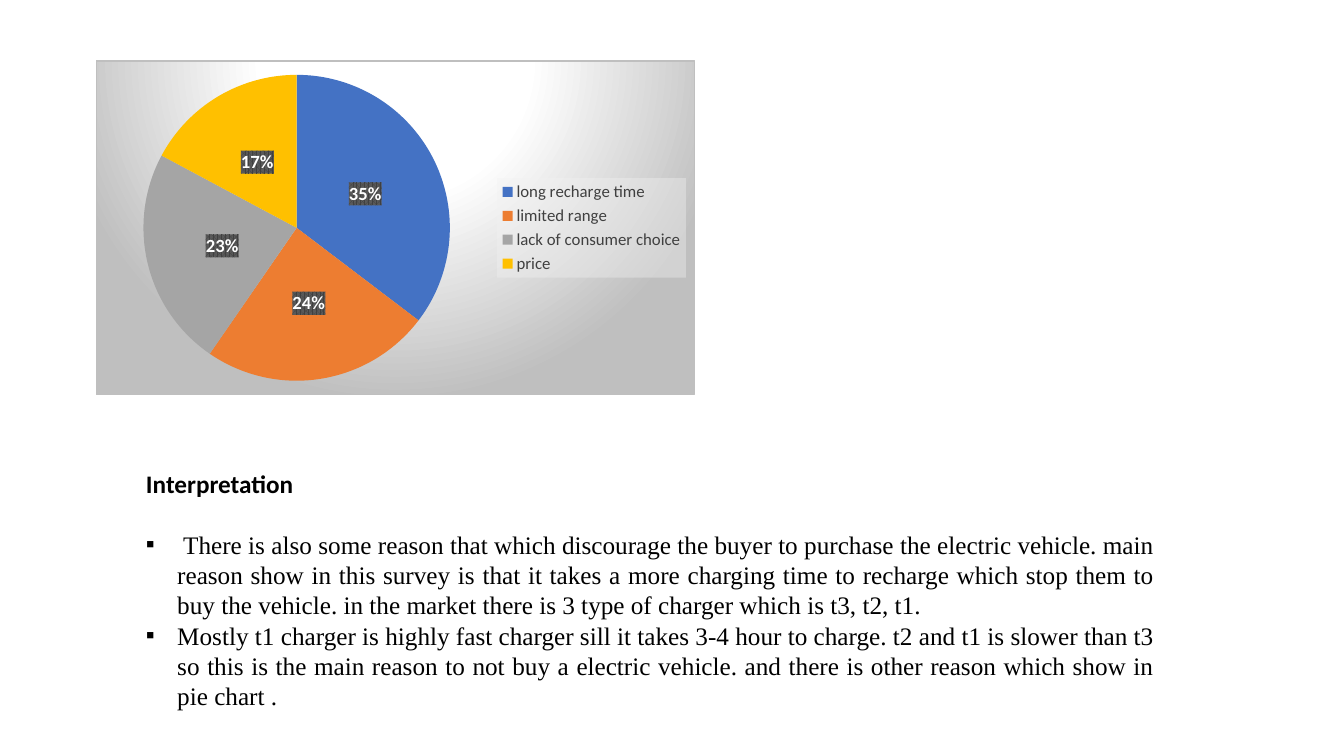
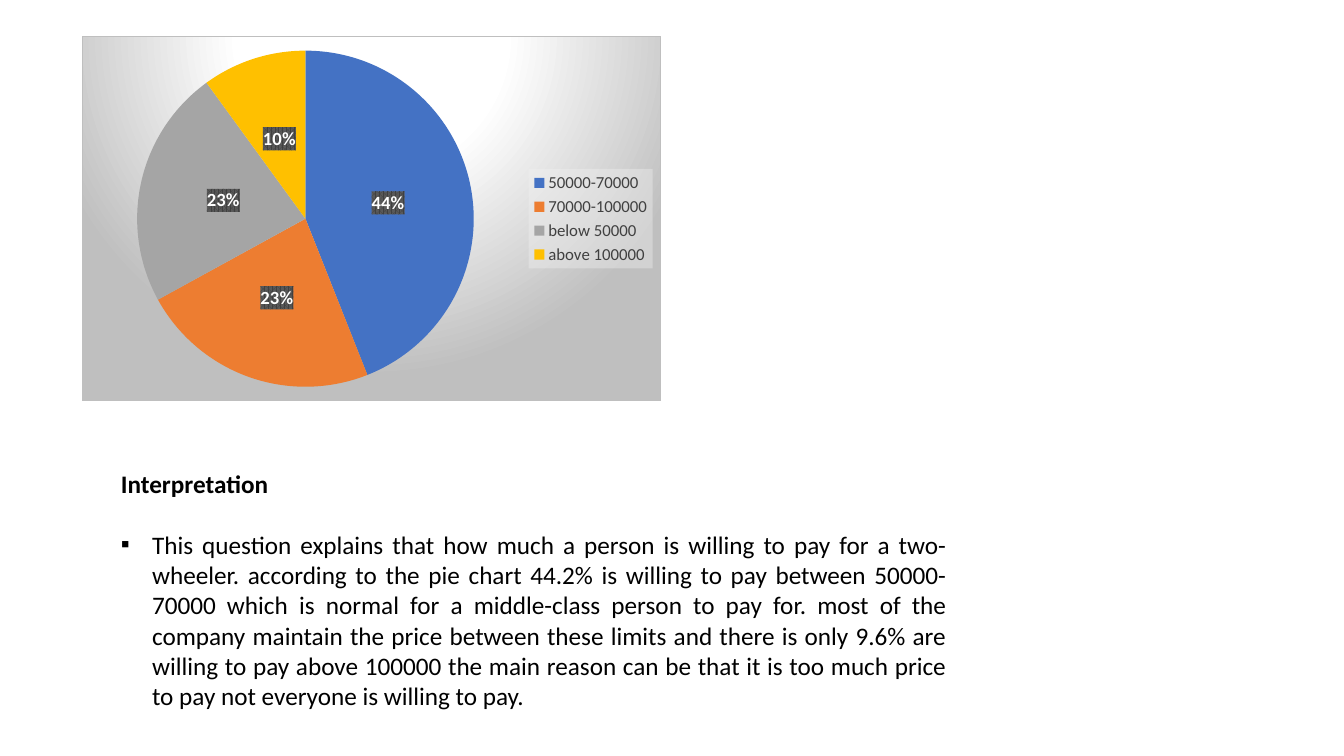
from lxml import etree
from pptx import Presentation
from pptx.chart.data import CategoryChartData
from pptx.dml.color import RGBColor
from pptx.enum.chart import XL_CHART_TYPE, XL_LABEL_POSITION, XL_LEGEND_POSITION
from pptx.enum.text import PP_ALIGN
from pptx.oxml import parse_xml
from pptx.oxml.ns import nsdecls, qn
from pptx.util import Inches, Pt

PIE = XL_CHART_TYPE.PIE
CENTER = XL_LABEL_POSITION.CENTER
RIGHT = XL_LEGEND_POSITION.RIGHT
JUSTIFY = PP_ALIGN.JUSTIFY

COLORS = {
    "text": "000000",
    "legend": "404040",
    "legend_fill": "F2F2F2",
    "white": "FFFFFF",
    "gray": "BFBFBF",
    "label_dark": "404040",
    "label_light": "595959",
}
SLICES = ["4472C4", "ED7D31", "A5A5A5", "FFC000"]
SANS = "Calibri"
SERIF = "Times New Roman"
LINE_HEIGHT = Pt(21.6)
HANGING = Inches(0.31)
TEXT_TOP, TEXT_HEIGHT = 4.6, 2.83

CHART_STYLE = f"""
<a:gradFill>
  <a:gsLst>
    <a:gs pos="0"><a:srgbClr val="{COLORS['white']}"/></a:gs>
    <a:gs pos="39000"><a:srgbClr val="{COLORS['white']}"/></a:gs>
    <a:gs pos="100000"><a:srgbClr val="{COLORS['gray']}"/></a:gs>
  </a:gsLst>
  <a:path path="circle">
    <a:fillToRect l="50000" t="-80000" r="50000" b="180000"/>
  </a:path>
</a:gradFill>
<a:ln w="9525"><a:solidFill><a:srgbClr val="{COLORS['gray']}"/></a:solidFill></a:ln>"""
LEGEND_STYLE = f"""
<a:solidFill>
  <a:srgbClr val="{COLORS['legend_fill']}"><a:alpha val="39000"/></a:srgbClr>
</a:solidFill>"""
LABEL_STYLE = f"""
<a:pattFill prst="pct75">
  <a:fgClr><a:srgbClr val="{COLORS['label_dark']}"/></a:fgClr>
  <a:bgClr><a:srgbClr val="{COLORS['label_light']}"/></a:bgClr>
</a:pattFill>"""


def set_font(font, size, color="text", name=SANS, bold=False):
    font.name = name
    font.size = Pt(size)
    font.bold = bold
    font.color.rgb = RGBColor.from_string(COLORS[color])


def style_part(part, style):
    """Give a chart part a fill; its text properties must already be set."""
    properties = parse_xml(f"<c:spPr {nsdecls('c', 'a')}>{style}</c:spPr>")
    part.xpath("./c:txPr")[0].addprevious(properties)


def add_pie(page, left, top, width, height, shares):
    data = CategoryChartData()
    data.categories = list(shares)
    data.add_series("Series 1", list(shares.values()))
    chart = page.shapes.add_chart(
        PIE, Inches(left), Inches(top), Inches(width), Inches(height), data
    ).chart
    chart.has_title = False
    set_font(chart.font, 10)
    style_part(chart.element, CHART_STYLE)

    # Legend
    chart.has_legend = True
    chart.legend.position = RIGHT
    chart.legend.include_in_layout = False
    set_font(chart.legend.font, 12, "legend")
    style_part(chart.element.xpath(".//c:legend")[0], LEGEND_STYLE)

    # Slices
    plot = chart.plots[0]
    plot.vary_by_categories = True
    for index, color in enumerate(SLICES):
        slice_format = plot.series[0].points[index].format
        slice_format.fill.solid()
        slice_format.fill.fore_color.rgb = RGBColor.from_string(color)
        slice_format.line.fill.background()

    # Percentage labels
    plot.has_data_labels = True
    labels = plot.data_labels
    labels.show_value = False
    labels.show_percentage = True
    labels.number_format = "0%"
    labels.number_format_is_linked = False
    labels.position = CENTER
    set_font(labels.font, 13.3, "white", bold=True)
    style_part(chart.element.xpath(".//c:dLbls")[0], LABEL_STYLE)


def add_span(para, text, font_name=SANS, bold=False):
    para.line_spacing = LINE_HEIGHT
    span = para.add_run()
    span.text = text
    set_font(span.font, 18, name=font_name, bold=bold)


def add_bullet(para):
    properties = para._p.get_or_add_pPr()
    properties.set("marL", str(HANGING))
    properties.set("indent", str(-HANGING))
    etree.SubElement(properties, qn("a:buFont"), typeface="Arial")
    etree.SubElement(properties, qn("a:buChar"), char="▪")


def add_interpretation(page, left, width, points, font_name):
    box = page.shapes.add_textbox(
        Inches(left), Inches(TEXT_TOP), Inches(width), Inches(TEXT_HEIGHT)
    )
    frame = box.text_frame
    frame.word_wrap = True
    heading = frame.paragraphs[0]
    heading.space_after = LINE_HEIGHT
    add_span(heading, "Interpretation", bold=True)
    for point in points:
        para = frame.add_paragraph()
        add_bullet(para)
        para.alignment = JUSTIFY
        add_span(para, point, font_name)


def main():
    deck = Presentation()
    deck.slide_width, deck.slide_height = Inches(13.33), Inches(7.5)
    blank = deck.slide_layouts[6]

    # Reasons against buying
    page = deck.slides.add_slide(blank)
    add_pie(page, 0.95, 0.6, 5.94, 3.32, {
        "long recharge time": 35,
        "limited range": 24,
        "lack of consumer choice": 23,
        "price": 17,
    })
    add_interpretation(page, 1.35, 10.2, [
        " There is also some reason that which discourage the buyer to purchase "
        "the electric vehicle. main reason show in this survey is that it takes a "
        "more charging time to recharge which stop them to buy the vehicle. in the "
        "market there is 3 type of charger which is t3, t2, t1.",
        "Mostly t1 charger is highly fast charger sill it takes 3-4 hour to charge. "
        "t2 and t1 is slower than t3 so this is the main reason to not buy a "
        "electric vehicle. and there is other reason which show in pie chart .",
    ], SERIF)

    # Willingness to pay
    page = deck.slides.add_slide(blank)
    add_pie(page, 0.81, 0.36, 5.75, 3.62, {
        "50000-70000": 44,
        "70000-100000": 23,
        "below 50000": 23,
        "above 100000": 10,
    })
    add_interpretation(page, 1.1, 8.39, [
        "This question explains that how much a person is willing to pay for a "
        "two-wheeler. according to the pie chart 44.2% is willing to pay between "
        "50000-70000 which is normal for a middle-class person to pay for. most of "
        "the company maintain the price between these limits and there is only "
        "9.6% are willing to pay above 100000 the main reason can be that it is "
        "too much price to pay not everyone is willing to pay.",
    ], SANS)

    deck.save("out.pptx")


if __name__ == "__main__":
    main()
